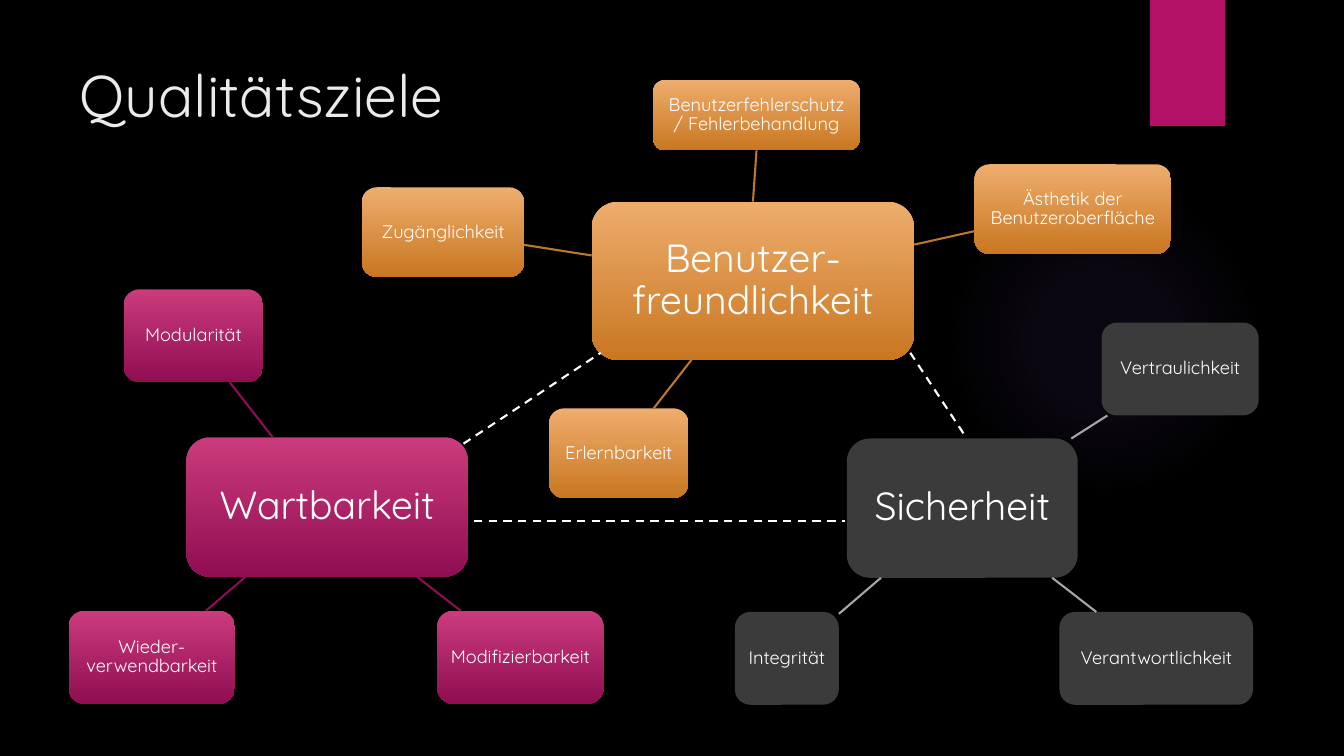
from lxml import etree
from pptx import Presentation
from pptx.dml.color import RGBColor
from pptx.enum.dml import MSO_LINE
from pptx.enum.shapes import MSO_CONNECTOR, MSO_SHAPE
from pptx.enum.text import MSO_ANCHOR, PP_ALIGN
from pptx.oxml import parse_xml
from pptx.oxml.ns import nsdecls, qn
from pptx.util import Cm, Pt

RECTANGLE, ROUNDED, OVAL = MSO_SHAPE.RECTANGLE, MSO_SHAPE.ROUNDED_RECTANGLE, MSO_SHAPE.OVAL
STRAIGHT, DASH = MSO_CONNECTOR.STRAIGHT, MSO_LINE.DASH
TOP, MIDDLE = MSO_ANCHOR.TOP, MSO_ANCHOR.MIDDLE
LEFT, CENTER = PP_ALIGN.LEFT, PP_ALIGN.CENTER

FONT = "Quicksand"
HUB_FORMAT = {"size": 28, "inset": 0.38}
GOAL_FORMAT = {"size": 13, "inset": 0.15}

# Each cluster: fill colours, line colour, hub, goals; boxes are left, top, width, height in cm.
CLUSTERS = [
    (("CB3B7C", "900E52"), "8F0E52", ("Wartbarkeit", (4.7, 11.02, 7.09, 3.51)), [
        ("Modularität", (3.12, 7.29, 3.51, 2.34)),
        ("Modifizierbarkeit", (11.02, 15.39, 4.19, 2.34)),
        ("Wieder-verwendbarkeit", (1.73, 15.39, 4.19, 2.34)),
    ]),
    (("3B3B3B",), "A6A6A6", ("Sicherheit", (21.34, 11.05, 5.82, 3.51)), [
        ("Vertraulichkeit", (27.76, 8.13, 3.96, 2.34)),
        ("Verantwortlichkeit", (26.7, 15.42, 4.88, 2.34)),
        ("Integrität", (18.52, 15.42, 2.62, 2.34)),
    ]),
    (("EEAD6D", "C97721"), "BB772E", ("Benutzer-freundlichkeit", (14.91, 5.08, 8.13, 3.99)), [
        ("Erlernbarkeit", (13.84, 10.29, 3.51, 2.26)),
        ("Ästhetik der Benutzeroberfläche", (24.56, 4.14, 4.95, 2.26)),
        ("Benutzerfehlerschutz / Fehlerbehandlung", (16.46, 2.01, 5.21, 1.78)),
        ("Zugänglichkeit", (9.12, 4.72, 4.09, 2.26)),
    ]),
]
HUB_LINKS = [
    (11.94, 13.13, 21.29, 13.13),
    (11.68, 11.18, 15.14, 8.89),
    (24.28, 10.92, 22.94, 8.89),
]


def rgb(value):
    return RGBColor.from_string(value)


def paint(fill, colours):
    """Fill with one colour, or with a gradient running from top to bottom."""
    if len(colours) == 1:
        fill.solid()
        fill.fore_color.rgb = rgb(colours[0])
        return
    fill.gradient()
    fill.gradient_angle = 270
    for stop, colour in zip(fill.gradient_stops, colours):
        stop.color.rgb = rgb(colour)


def add_block(shapes, kind, place, colours):
    box = shapes.add_shape(kind, *map(Cm, place))
    box.shadow.inherit = False
    box.line.fill.background()
    paint(box.fill, colours)
    return box


def write(box, text, size, inset, colour="FFFFFF", anchor=MIDDLE, align=CENTER, spacing=0.9):
    frame = box.text_frame
    margins = {f"margin_{side}": Cm(inset) for side in ("left", "right", "top", "bottom")}
    for name, value in {"word_wrap": True, "vertical_anchor": anchor, **margins}.items():
        setattr(frame, name, value)
    para = frame.paragraphs[0]
    para.alignment, para.line_spacing = align, spacing
    span = para.add_run()
    span.text = text
    for name, value in {"name": FONT, "size": Pt(size)}.items():
        setattr(span.font, name, value)
    span.font.color.rgb = rgb(colour)


def add_line(shapes, ends, colour, dash=None):
    line = shapes.add_connector(STRAIGHT, *ends)
    line.line.width = Pt(1.5)
    line.line.color.rgb = rgb(colour)
    if dash:
        line.line.dash_style = dash
    etree.SubElement(line._element.spPr, qn("a:effectLst"))
    return line


def centre(box):
    return box.left + box.width / 2, box.top + box.height / 2


def border_point(box, other):
    """Point where the line between two box centres leaves the first box."""
    x, y = centre(box)
    other_x, other_y = centre(other)
    dx, dy = other_x - x, other_y - y
    share = 1 / max(2 * abs(dx) / box.width, 2 * abs(dy) / box.height)
    return round(x + share * dx), round(y + share * dy)


def near_site(box, point):
    """Connection site within half a millimetre of the point, if any."""
    x, y = centre(box)
    sites = [(x, box.top), (box.left, y), (x, box.top + box.height), (box.left + box.width, y)]
    for index, (site_x, site_y) in enumerate(sites):
        if max(abs(site_x - point[0]), abs(site_y - point[1])) < Cm(0.05):
            return index
    return None


def add_spoke(shapes, hub, goal, colour):
    start, end = border_point(hub, goal), border_point(goal, hub)
    spoke = add_line(shapes, (*start, *end), colour)
    for join, box, point in ((spoke.begin_connect, hub, start), (spoke.end_connect, goal, end)):
        site = near_site(box, point)
        if site is not None:
            join(box, site)


def add_cluster(page, colours, line_colour, hub, goals):
    shapes = page.shapes.add_group_shape().shapes
    hub_text, hub_place = hub
    hub_box = add_block(shapes, ROUNDED, hub_place, colours)
    write(hub_box, hub_text, **HUB_FORMAT)
    for text, place in goals:
        goal_box = add_block(shapes, ROUNDED, place, colours)
        write(goal_box, text, **GOAL_FORMAT)
        add_spoke(shapes, hub_box, goal_box, line_colour)


def add_glow(page):
    """Faint violet disc that fades out towards its rim."""
    glow = add_block(page.shapes, OVAL, (23.9, 4.65, 7.82, 7.82), ("9B6BF2",))
    stops = "".join(
        f'<a:gs pos="{place * 1000}"><a:srgbClr val="9B6BF2">'
        f'<a:alpha val="{alpha * 1000}"/></a:srgbClr></a:gs>'
        for place, alpha in ((0, 7), (36, 6), (69, 0))
    )
    gradient = parse_xml(
        f'<a:gradFill {nsdecls("a")}><a:gsLst>{stops}</a:gsLst><a:path path="circle">'
        '<a:fillToRect l="50000" t="50000" r="50000" b="50000"/></a:path></a:gradFill>'
    )
    properties = glow._element.spPr
    properties.replace(properties.find(qn("a:solidFill")), gradient)


def main():
    deck = Presentation()
    deck.slide_width, deck.slide_height = Cm(33.87), Cm(19.05)
    page = deck.slides.add_slide(deck.slide_layouts[6])
    paint(page.background.fill, ("000000",))
    add_glow(page)
    add_block(page.shapes, RECTANGLE, (28.98, 0, 1.9, 3.18), ("B31166",))
    title = page.shapes.add_textbox(*map(Cm, (1.8, 1.27, 27.94, 3.89)))
    write(title, "Qualitätsziele", 42, 0.2, "EBEBEB", TOP, LEFT, 1.0)
    for cluster in CLUSTERS:
        add_cluster(page, *cluster)
    for ends in HUB_LINKS:
        add_line(page.shapes, map(Cm, ends), "FFFFFF", DASH)
    deck.save("out.pptx")


if __name__ == "__main__":
    main()
